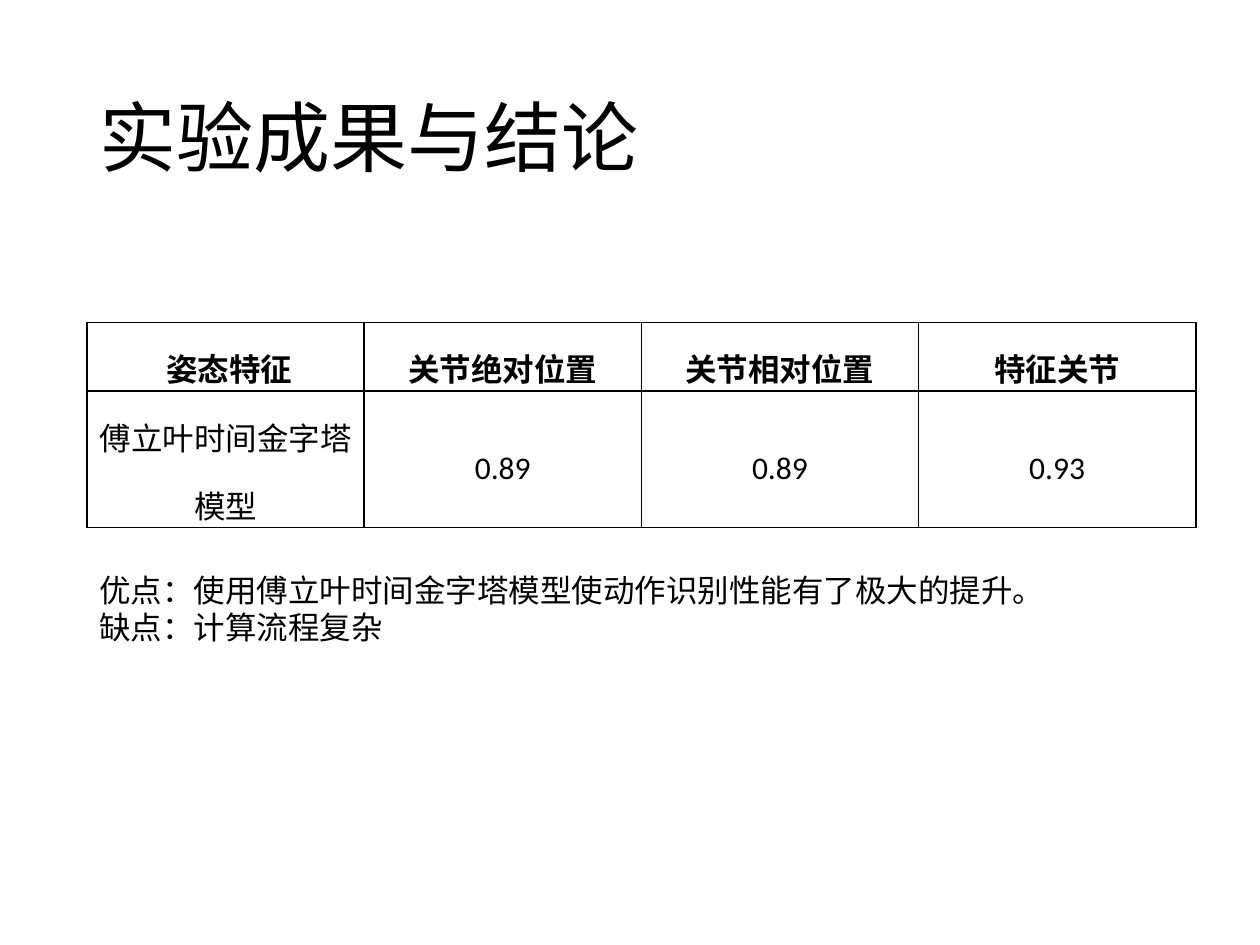
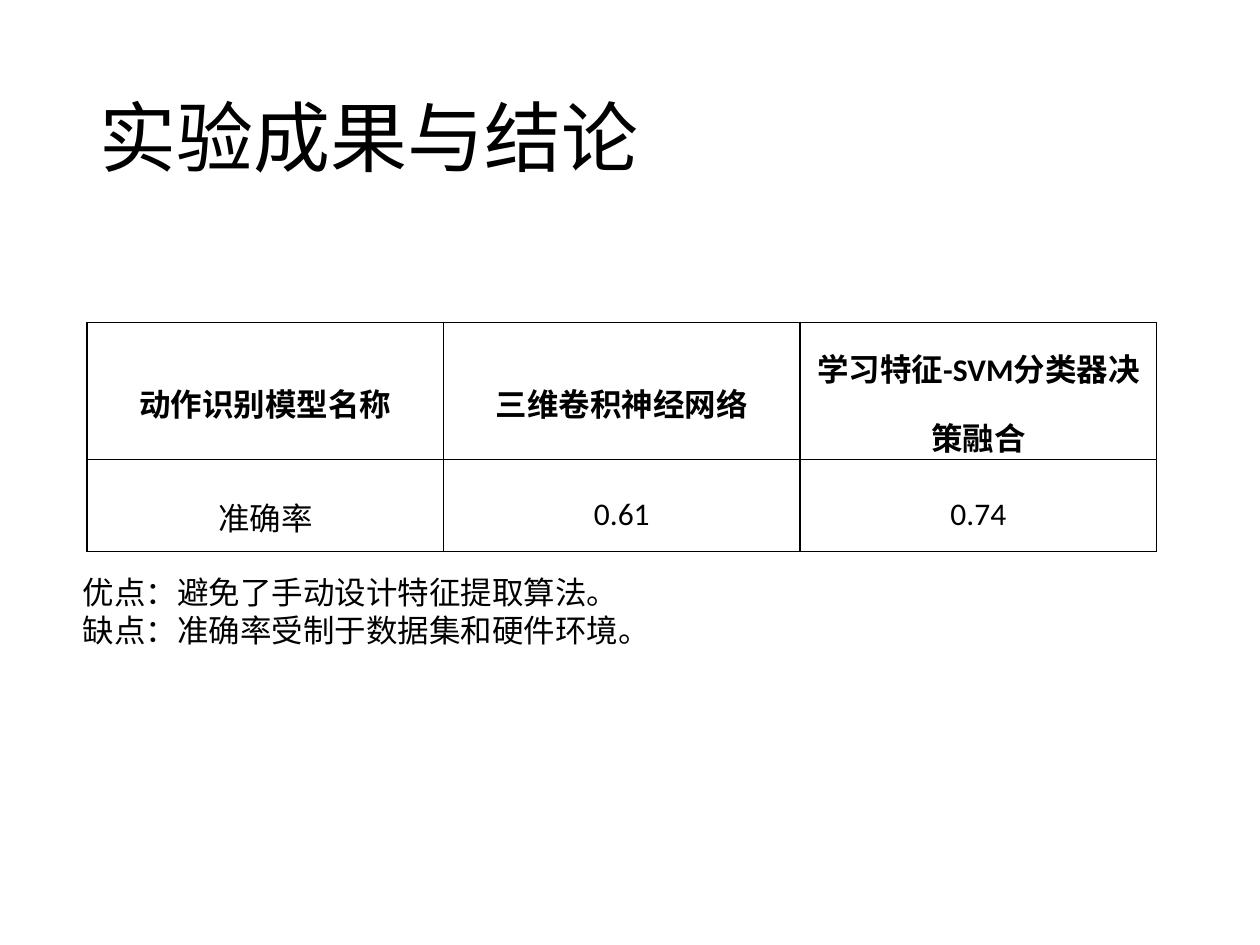
from pptx import Presentation
from pptx.dml.color import RGBColor
from pptx.enum.text import MSO_ANCHOR, MSO_AUTO_SIZE, PP_ALIGN
from pptx.util import Inches, Pt
from lxml import etree

BLACK = RGBColor(0, 0, 0)
WHITE = RGBColor(255, 255, 255)
LEFT, CENTER = PP_ALIGN.LEFT, PP_ALIGN.CENTER
MIDDLE = MSO_ANCHOR.MIDDLE
NONE, GROW = MSO_AUTO_SIZE.NONE, MSO_AUTO_SIZE.SHAPE_TO_FIT_TEXT
NS = "http://schemas.openxmlformats.org/drawingml/2006/main"
TITLE = "实验成果与结论"

# Per slide: table rows, column width, row heights, notes, notes position
PAGES = [
    ([[" 姿态特征", "关节绝对位置", "关节相对位置", "特征关节"],
      ["傅立叶时间金字塔模型", "0.89", "0.89", "0.93"]],
     2.2, (0.54, 1.08),
     ["优点：使用傅立叶时间金字塔模型使动作识别性能有了极大的提升。",
      "缺点：计算流程复杂"], (0.69, 4.48)),
    ([["动作识别模型名称", "三维卷积神经网络", "学习特征-SVM分类器决策融合"],
      ["准确率", "0.61", "0.74"]],
     2.83, (1.08, 0.73),
     ["优点：避免了手动设计特征提取算法。",
      "缺点：准确率受制于数据集和硬件环境。"], (0.56, 4.5)),
]


def style(para, font, size, align, bold=False):
    para.alignment = align
    for run in para.runs:
        run.font.name = font
        run.font.size = Pt(size)
        run.font.bold = bold
        run.font.color.rgb = BLACK


def border(cell):
    props = cell._tc.get_or_add_tcPr()
    for i, side in enumerate(("lnL", "lnR", "lnT", "lnB")):
        line = etree.Element(f"{{{NS}}}{side}", w=str(Pt(1)))
        fill = etree.SubElement(line, f"{{{NS}}}solidFill")
        etree.SubElement(fill, f"{{{NS}}}srgbClr", val=str(BLACK))
        props.insert(i, line)


prs = Presentation()
prs.slide_width, prs.slide_height = Inches(10), Inches(7.5)

for rows, width, heights, notes, spot in PAGES:
    slide = prs.slides.add_slide(prs.slide_layouts[5])

    # Title
    title = slide.shapes.title
    title.left, title.top = Inches(0.69), Inches(0.4)
    title.width, title.height = Inches(8.62), Inches(1.45)
    frame = title.text_frame
    frame.text = TITLE
    frame.auto_size = NONE
    frame.vertical_anchor = MIDDLE
    frame.paragraphs[0].line_spacing = 0.9
    style(frame.paragraphs[0], "Calibri", 44, LEFT)

    # Results table
    count = len(rows[0])
    table = slide.shapes.add_table(
        len(rows), count, Inches(0.69), Inches(2.56),
        Inches(width * count), Inches(sum(heights))).table
    for col in table.columns:
        col.width = Inches(width)
    for r, (row, height) in enumerate(zip(rows, heights)):
        table.rows[r].height = Inches(height)
        for c, text in enumerate(row):
            cell = table.cell(r, c)
            cell.text_frame.text = text
            cell.vertical_anchor = MIDDLE
            cell.margin_left = cell.margin_right = Inches(0.06)
            cell.margin_top = cell.margin_bottom = 0
            cell.fill.solid()
            cell.fill.fore_color.rgb = WHITE
            border(cell)
            para = cell.text_frame.paragraphs[0]
            para.line_spacing = 1.5
            style(para, "Calibri", 18, CENTER, bold=r == 0)

    # Strengths and weaknesses
    x, y = spot
    box = slide.shapes.add_textbox(Inches(x), Inches(y), Inches(7.72), Inches(0.71))
    frame = box.text_frame
    frame.word_wrap = True
    frame.auto_size = GROW
    frame.text = "\n".join(notes)
    for para in frame.paragraphs:
        style(para, "Arial", 18, LEFT)

prs.save("out.pptx")
